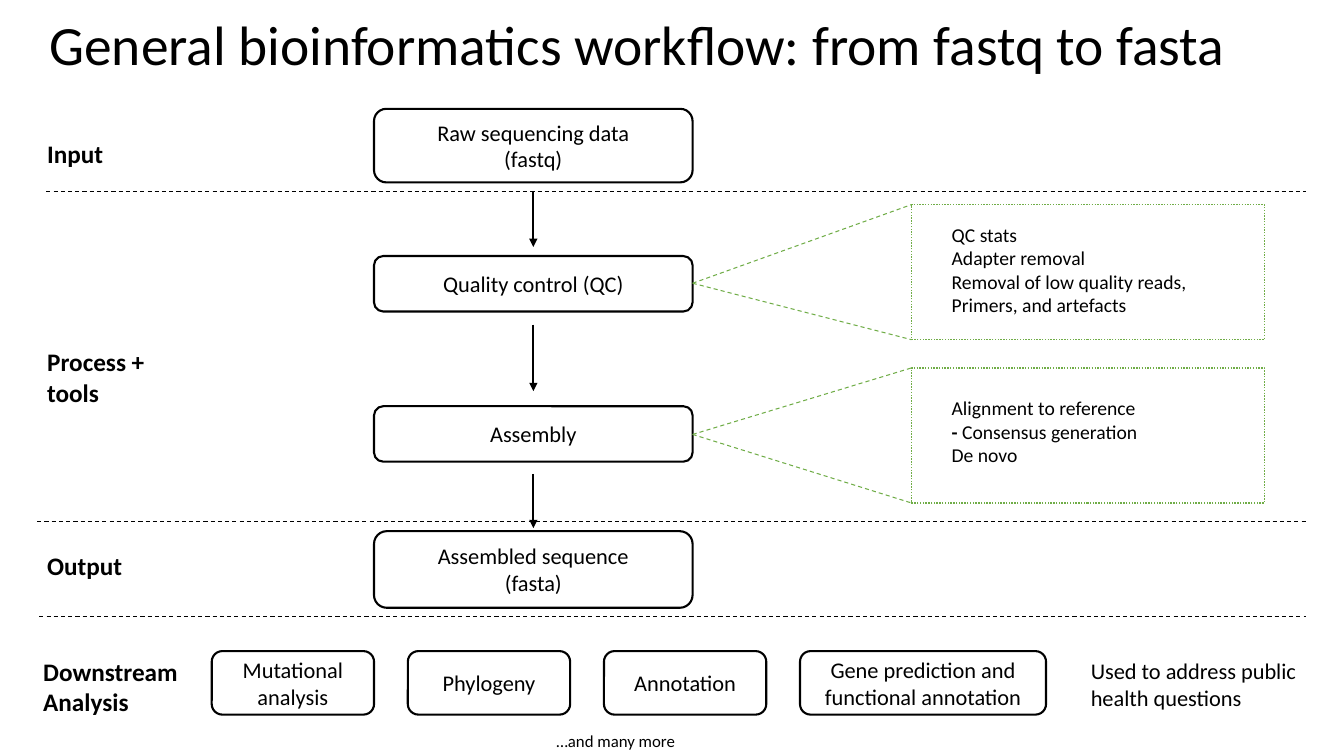
from lxml import etree
from pptx import Presentation
from pptx.dml.color import RGBColor
from pptx.enum.dml import MSO_LINE_DASH_STYLE as DASH
from pptx.enum.shapes import MSO_CONNECTOR, MSO_SHAPE
from pptx.enum.text import MSO_ANCHOR as ANCHOR, PP_ALIGN as ALIGN
from pptx.oxml.ns import qn
from pptx.util import Inches, Pt

BLACK, WHITE, GREEN = "000000", "FFFFFF", "70AD47"


def rgb(value):
    """Turn a hex string into a colour."""
    return RGBColor.from_string(value)


def write(tf, lines, size, align=ALIGN.LEFT, bold=False):
    """Fill a text frame with one paragraph per line, each a string or a list of (text, bold) runs."""
    for i, line in enumerate(lines):
        p = tf.paragraphs[0] if i == 0 else tf.add_paragraph()
        p.alignment = align
        for text, heavy in [(line, bold)] if isinstance(line, str) else line:
            r = p.add_run()
            r.text = text
            for name, value in {"name": "Calibri", "size": Pt(size), "bold": heavy}.items():
                setattr(r.font, name, value)
            r.font.color.rgb = rgb(BLACK)


def add_title(s, box, text):
    """Place and format the title placeholder."""
    sp = s.shapes.title
    for name, value in zip(("left", "top", "width", "height"), box):
        setattr(sp, name, Inches(value))
    tf = sp.text_frame
    for name, value in {"word_wrap": True, "vertical_anchor": ANCHOR.MIDDLE}.items():
        setattr(tf, name, value)
    write(tf, [text], 39.6)
    tf.paragraphs[0].line_spacing = 0.9


def add_text(s, box, lines, size, bold=False, wrap=True):
    """Add a plain text box."""
    tf = s.shapes.add_textbox(*map(Inches, box)).text_frame
    tf.word_wrap = wrap
    write(tf, lines, size, bold=bold)


def add_line(s, start, end, color=BLACK, width=0.75, dash=DASH.DASH, arrow=False):
    """Add a straight line, with an optional arrowhead at its end."""
    c = s.shapes.add_connector(MSO_CONNECTOR.STRAIGHT, *map(Inches, (*start, *end)))
    c.line.color.rgb = rgb(color)
    c.line.width = Pt(width)
    c.line.dash_style = dash
    if arrow:
        etree.SubElement(c.line._get_or_add_ln(), qn("a:tailEnd"), type="triangle")
    etree.SubElement(c._element.spPr, qn("a:effectLst"))


def add_step(s, box, lines):
    """Add a rounded workflow box."""
    sp = s.shapes.add_shape(MSO_SHAPE.ROUNDED_RECTANGLE, *map(Inches, box))
    sp.shadow.inherit = False
    sp.fill.solid()
    sp.fill.fore_color.rgb = rgb(WHITE)
    sp.line.color.rgb = rgb(BLACK)
    sp.line.width = Pt(1.5)
    tf = sp.text_frame
    for name, value in {"word_wrap": True, "vertical_anchor": ANCHOR.MIDDLE}.items():
        setattr(tf, name, value)
    write(tf, lines, 16, ALIGN.CENTER)


def add_callout(s, box, tip, lines, text_top, text_size):
    """Add a dotted detail box, joined to the tip of a step by two dashed lines."""
    x, y, w, h = box
    sp = s.shapes.add_shape(MSO_SHAPE.RECTANGLE, *map(Inches, box))
    sp.shadow.inherit = False
    sp.fill.background()
    sp.line.color.rgb = rgb(GREEN)
    sp.line.width = Pt(1)
    sp.line.dash_style = DASH.ROUND_DOT
    add_text(s, (x + 0.3, y + text_top, *text_size), lines, 14, wrap=False)
    for corner in (y, y + h):
        add_line(s, tip, (x, corner), GREEN)


def add_sections(s, x, right):
    """Add the section labels and the dashed dividers."""
    for left, y in ((x + 0.09, 1.9), (x, 5.17), (x + 0.02, 6.12)):
        add_line(s, (left, y), (right, y))
    for y, h, label in ((1.32, 0.4, "Input"), (3.39, 0.71, "Process + tools"), (5.41, 0.4, "Output")):
        add_text(s, (x, y, 1.17, h), [label], 18, bold=True)


def add_flow(s, x, w):
    """Add the main column of steps, its arrows and its callouts."""
    steps = [
        (1.08, 0.73, ["Raw sequencing data", "(fastq)"]),
        (2.54, 0.55, ["Quality control (QC)"]),
        (4.03, 0.55, ["Assembly"]),
        (5.27, 0.76, ["Assembled sequence", "(fasta)"]),
    ]
    for y, h, lines in steps:
        add_step(s, (x, y, w, h), lines)
    mid = x + w / 2
    for top, bottom in ((1.9, 2.45), (3.22, 3.88), (4.7, 5.24)):
        add_line(s, (mid, top), (mid, bottom), width=1.5, dash=DASH.SOLID, arrow=True)
    qc = ["QC stats", "Adapter removal", "Removal of low quality reads,", "Primers, and artefacts"]
    assembly = ["Alignment to reference", [("- ", True), ("Consensus generation", False)], "De novo"]
    add_callout(s, (9.04, 2.03, 3.5, 1.34), (x + w, 2.81), qc, 0.13, (2.55, 1.05))
    add_callout(s, (9.04, 3.65, 3.5, 1.34), (x + w, 4.31), assembly, 0.23, (2.07, 0.81))


def add_downstream(s, x, y):
    """Add the bottom row of downstream analyses."""
    add_text(s, (x, y, 1.61, 0.71), ["Downstream", "Analysis"], 18, bold=True)
    names = ["Mutational analysis", "Phylogeny", "Annotation", "Gene prediction and functional annotation"]
    widths = [1.61, 1.61, 1.61, 2.44]
    for i, (name, w) in enumerate(zip(names, widths)):
        add_step(s, (x + 1.77 + i * 1.945, y, w, 0.63), [name])
    add_text(s, (x + 10.39, y + 0.01, 2.59, 0.64), ["Used to address public health questions"], 16)
    add_text(s, (x + 5.09, y + 0.74, 2.53, 0.3), ["…and many more"], 12)


def main():
    """Build the workflow slide and save it."""
    prs = Presentation()
    prs.slide_width, prs.slide_height = Inches(13.33), Inches(7.5)
    s = prs.slides.add_slide(prs.slide_layouts[5])
    add_title(s, (0.39, 0.15, 12.59, 0.64), "General bioinformatics workflow: from fastq to fasta")
    add_sections(s, 0.37, 12.95)
    add_flow(s, 3.71, 3.16)
    add_downstream(s, 0.33, 6.46)
    prs.save("out.pptx")


if __name__ == "__main__":
    main()
